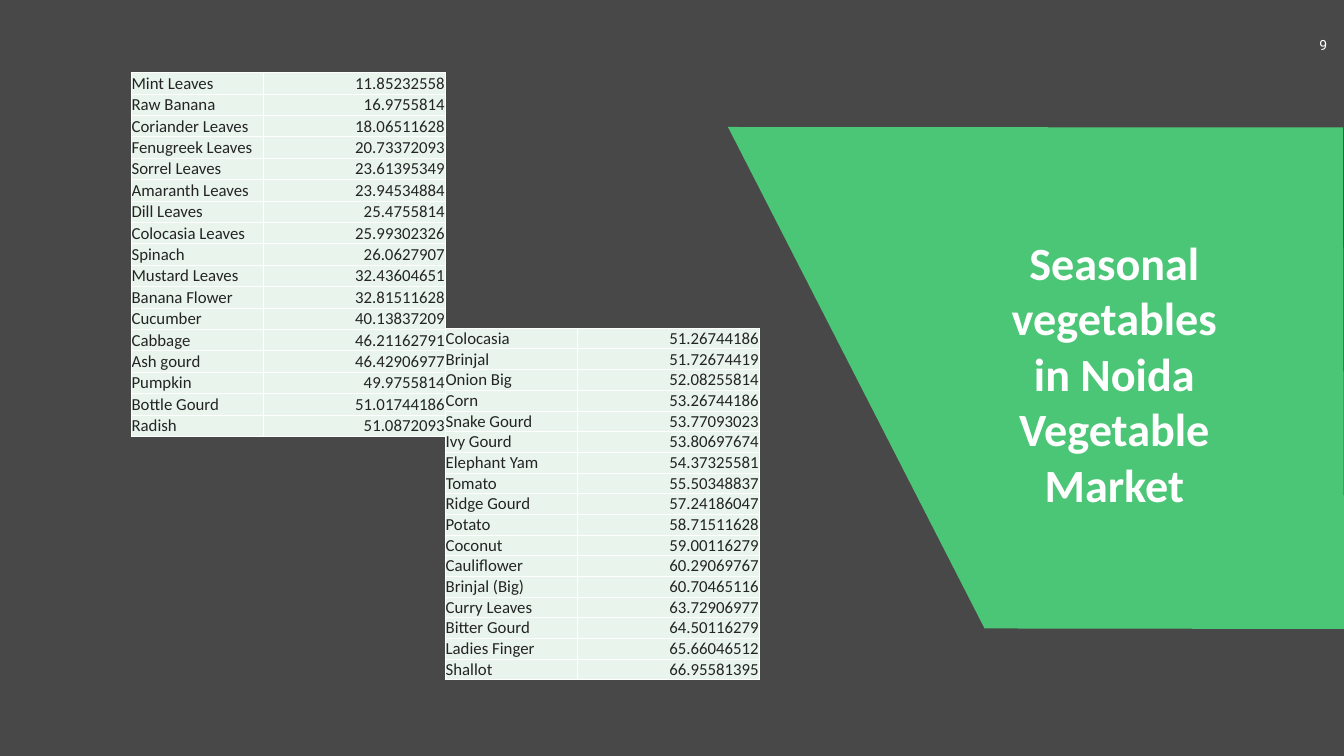
from lxml.etree import SubElement
from pptx import Presentation
from pptx.dml.color import RGBColor as RGB
from pptx.enum.text import MSO_ANCHOR as Anchor, PP_ALIGN as Align
from pptx.oxml.ns import qn
from pptx.util import Inches, Pt

COLORS = {
    "background": "484848",
    "panel": "4BC676",
    "cell": "E9F5EC",
    "cell_text": "242424",
    "white": "FFFFFF",
}

LEAFY_AND_GOURDS = [
    ("Mint Leaves", "11.85232558"),
    ("Raw Banana", "16.9755814"),
    ("Coriander Leaves", "18.06511628"),
    ("Fenugreek Leaves", "20.73372093"),
    ("Sorrel Leaves", "23.61395349"),
    ("Amaranth Leaves", "23.94534884"),
    ("Dill Leaves", "25.4755814"),
    ("Colocasia Leaves", "25.99302326"),
    ("Spinach", "26.0627907"),
    ("Mustard Leaves", "32.43604651"),
    ("Banana Flower", "32.81511628"),
    ("Cucumber", "40.13837209"),
    ("Cabbage", "46.21162791"),
    ("Ash gourd", "46.42906977"),
    ("Pumpkin", "49.9755814"),
    ("Bottle Gourd", "51.01744186"),
    ("Radish", "51.0872093"),
]

ROOTS_AND_OTHERS = [
    ("Colocasia", "51.26744186"),
    ("Brinjal", "51.72674419"),
    ("Onion Big", "52.08255814"),
    ("Corn", "53.26744186"),
    ("Snake Gourd", "53.77093023"),
    ("Ivy Gourd", "53.80697674"),
    ("Elephant Yam", "54.37325581"),
    ("Tomato", "55.50348837"),
    ("Ridge Gourd", "57.24186047"),
    ("Potato", "58.71511628"),
    ("Coconut", "59.00116279"),
    ("Cauliflower", "60.29069767"),
    ("Brinjal (Big)", "60.70465116"),
    ("Curry Leaves", "63.72906977"),
    ("Bitter Gourd", "64.50116279"),
    ("Ladies Finger", "65.66046512"),
    ("Shallot", "66.95581395"),
]


class SlideBuilder:
    font = "Calibri"
    column_widths = (2.62, 3.61)

    def __init__(self, prs):
        self.s = prs.slides.add_slide(prs.slide_layouts[6])
        self.fill(self.s.background, "background")

    def fill(self, target, color):
        target.fill.solid()
        target.fill.fore_color.rgb = RGB.from_string(COLORS[color])

    def run(self, p, text, size, color, align, font=None, bold=False):
        p.alignment = align
        r = p.add_run()
        r.text = text
        r.font.name = font or self.font
        r.font.size = Pt(size)
        r.font.bold = bold
        r.font.color.rgb = RGB.from_string(COLORS[color])

    def text(self, box, text, size, font=None, bold=False, wrap=True):
        tf = self.s.shapes.add_textbox(*map(Inches, box)).text_frame
        tf.word_wrap = wrap
        self.run(tf.paragraphs[0], text, size, "white", Align.CENTER, font, bold)

    def polygon(self, points, color):
        points = [(Inches(x), Inches(y)) for x, y in points]
        builder = self.s.shapes.build_freeform(*points[0], scale=1.0)
        builder.add_line_segments(points[1:], close=True)
        sp = builder.convert_to_shape()
        sp.shadow.inherit = False
        self.fill(sp, color)
        sp.line.fill.background()

    def borders(self, cell):
        tc_pr = cell._tc.get_or_add_tcPr()
        for i, side in enumerate(("lnL", "lnR", "lnT", "lnB")):
            ln = tc_pr.makeelement(qn(f"a:{side}"), {"w": str(Pt(1))})
            solid = SubElement(ln, qn("a:solidFill"))
            SubElement(solid, qn("a:srgbClr"), val=COLORS["white"])
            tc_pr.insert(i, ln)

    def cell(self, cell, text, align):
        cell.vertical_anchor = Anchor.BOTTOM
        cell.margin_left = cell.margin_right = cell.margin_top = Inches(0.01)
        cell.margin_bottom = 0
        self.fill(cell, "cell")
        self.borders(cell)
        self.run(cell.text_frame.paragraphs[0], text, 24, "cell_text", align)

    def table(self, left, top, height, rows):
        box = map(Inches, (left, top, sum(self.column_widths), height))
        table = self.s.shapes.add_table(len(rows), 2, *box).table
        table.first_row = table.horz_banding = False
        for column, width in zip(table.columns, self.column_widths):
            column.width = Inches(width)
        for i, (vegetable, value) in enumerate(rows):
            self.cell(table.cell(i, 0), vegetable, Align.LEFT)
            self.cell(table.cell(i, 1), value, Align.RIGHT)


def main():
    prs = Presentation()
    prs.slide_width, prs.slide_height = Inches(26.66), Inches(15)
    slide = SlideBuilder(prs)
    slide.text((25.88, 0.67, 0.74, 0.54), "9", 20, font="Roboto", wrap=False)
    slide.polygon([(14.44, 2.52), (26.64, 2.53), (26.66, 12.48), (19.53, 12.47)], "panel")
    slide.text((19.92, 4.6, 4.37, 5.65),
               "Seasonal vegetables in Noida Vegetable Market", 66, bold=True)
    slide.table(2.6, 1.44, 7.22, LEAFY_AND_GOURDS)
    slide.table(8.83, 6.51, 6.94, ROOTS_AND_OTHERS)
    prs.save("out.pptx")


if __name__ == "__main__":
    main()
